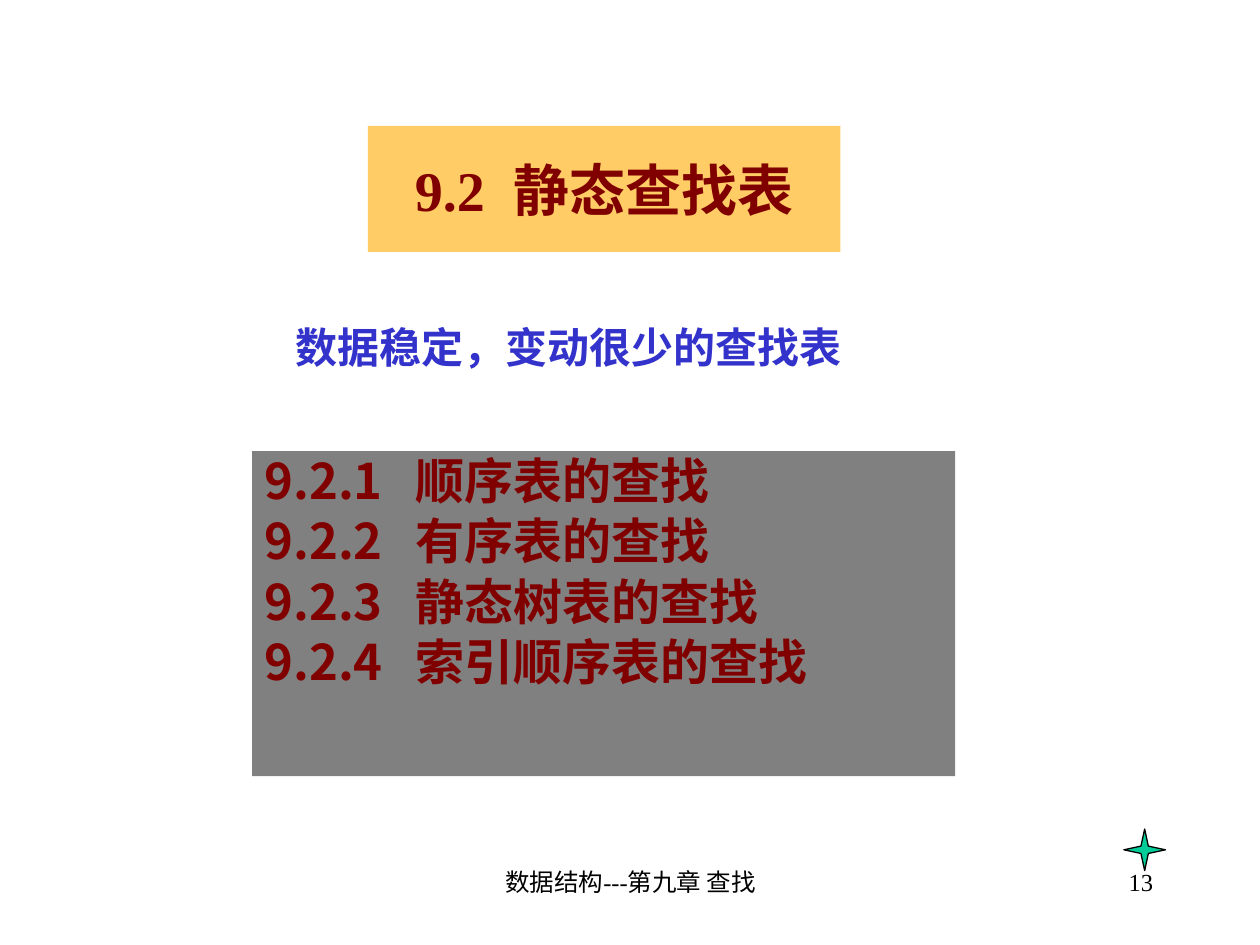
from dataclasses import dataclass, field

from lxml.etree import SubElement
from pptx import Presentation
from pptx.dml.color import RGBColor
from pptx.enum.shapes import MSO_SHAPE as Preset
from pptx.enum.text import MSO_ANCHOR as Anchor, PP_ALIGN as Align
from pptx.oxml.ns import qn
from pptx.slide import Slide
from pptx.util import Inches, Pt

COLORS = {
    "ink": "000000",
    "maroon": "800000",
    "blue": "3333CC",
    "amber": "FFCC66",
    "gray": "808080",
    "green": "00CC99",
}
SERIF, SANS = "Times New Roman", "Noto Sans CJK SC"
BODY_SPACING = {"line_spacing": 0.9, "space_before": Pt(4.2)}
HEADING_GAP = 8
TOPIC_TAB = 1.2


@dataclass
class Block:
    """Text lines with their place, look and paragraph format."""

    lines: list[list[str]]
    place: tuple[float, float, float, float]
    size: float
    color: str = "ink"
    font: str = SERIF
    bold: bool = False
    fill: str | None = None
    anchor: Anchor = Anchor.TOP
    layout: dict = field(default_factory=dict)
    gap: float = 0
    tab: float = 0


def rgb(name: str) -> RGBColor:
    """Return the named colour."""
    return RGBColor.from_string(COLORS[name])


def apply(target: object, values: dict) -> None:
    """Set each value as an attribute of the target."""
    for key, value in values.items():
        setattr(target, key, value)


def draw_block(slide: Slide, block: Block) -> None:
    """Draw a text block with an optional fill."""
    panel = slide.shapes.add_textbox(*map(Inches, block.place))
    if block.fill:
        panel.fill.solid()
        panel.fill.fore_color.rgb = rgb(block.fill)
    frame = panel.text_frame
    apply(frame, {"word_wrap": True, "vertical_anchor": block.anchor})
    look = {"name": block.font, "size": Pt(block.size), "bold": block.bold}
    for index, pieces in enumerate(block.lines):
        paragraph = frame.add_paragraph() if index else frame.paragraphs[0]
        if block.tab:
            stops = SubElement(paragraph._p.get_or_add_pPr(), qn("a:tabLst"))
            SubElement(stops, qn("a:tab"), pos=str(Inches(block.tab)), algn="l")
        apply(paragraph, block.layout)
        if index == 0:
            paragraph.space_before = Pt(0)
        for piece in pieces:
            run = paragraph.add_run()
            run.text = piece
            apply(run.font, look)
            run.font.color.rgb = rgb(block.color)
            if block.gap and piece.isspace():
                run.font._element.set("spc", str(block.gap * 100))


def draw_star(slide: Slide, left: float, top: float, side: float) -> None:
    """Draw the four-pointed star above the page number."""
    star = slide.shapes.add_shape(Preset.STAR_4_POINT, *map(Inches, (left, top, side, side)))
    star.shadow.inherit = False
    star.adjustments[0] = 0.125
    star.fill.solid()
    star.fill.fore_color.rgb = rgb("green")
    star.line.color.rgb = rgb("ink")
    star.line.width = Pt(0.75)


TOPICS = ["顺序表的查找", "有序表的查找", "静态树表的查找", "索引顺序表的查找"]
BLOCKS = [
    Block([["数据结构---第九章 查找"]], (3.42, 6.83, 3.17, 0.5), 14,
          layout={"alignment": Align.CENTER}),
    Block([["13"]], (7.17, 6.83, 2.08, 0.5), 14, layout={"alignment": Align.RIGHT}),
    Block([["9.2", " ", "静态查找表"]], (2.92, 1, 3.75, 1), 32, "maroon", bold=True,
          fill="amber", anchor=Anchor.MIDDLE, layout={"alignment": Align.CENTER},
          gap=HEADING_GAP),
    Block([[f"9.2.{number}\t{topic}"] for number, topic in enumerate(TOPICS, 1)],
          (2, 3.58, 5.58, 2.58), 28, "maroon", SANS, True, "gray",
          layout=BODY_SPACING, tab=TOPIC_TAB),
    Block([["数据稳定，变动很少的查找表"]], (2.25, 2.5, 5.5, 0.5), 24, "blue", bold=True),
]


def main() -> None:
    """Build and save the slide."""
    deck = Presentation()
    apply(deck, {"slide_width": Inches(10), "slide_height": Inches(7.5)})
    slide = deck.slides.add_slide(deck.slide_layouts[6])
    for block in BLOCKS:
        draw_block(slide, block)
    draw_star(slide, 8.92, 6.58, 0.33)
    deck.save("out.pptx")


if __name__ == "__main__":
    main()
